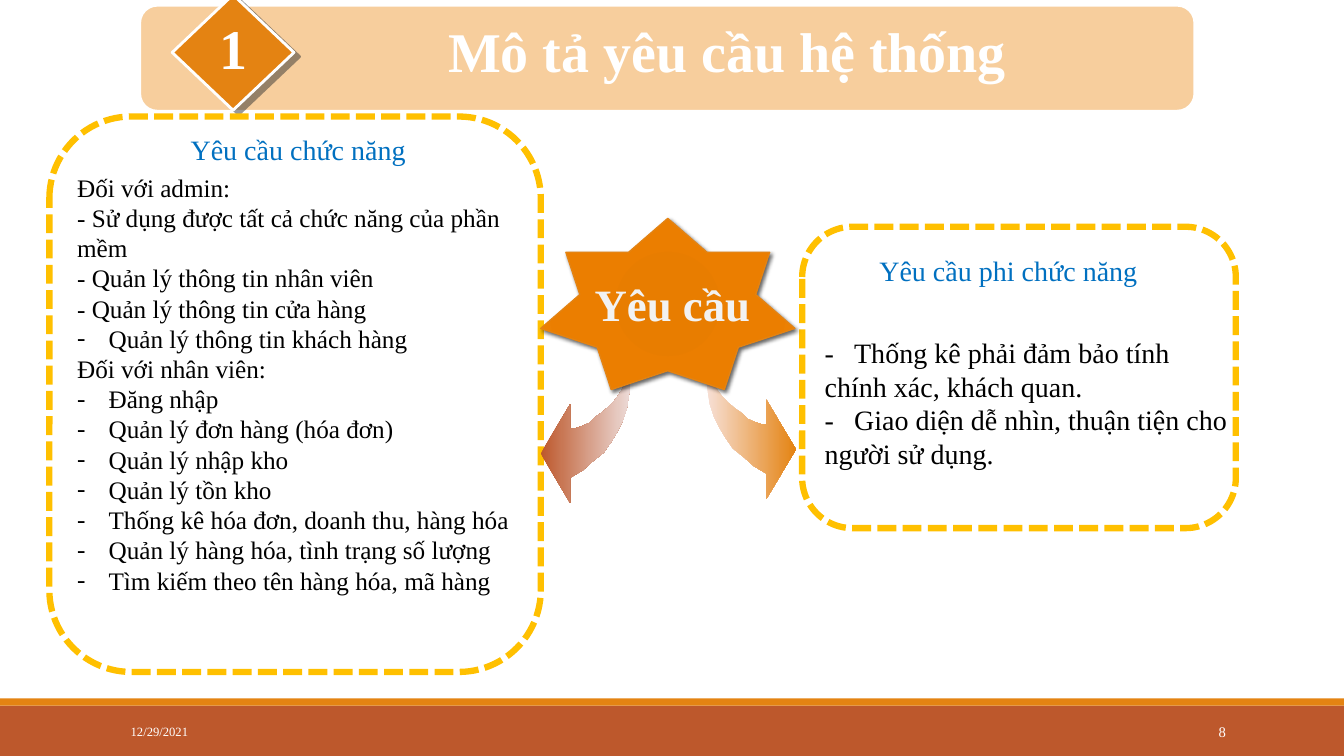
from pptx import Presentation
from pptx.dml.color import RGBColor
from pptx.enum.dml import MSO_LINE
from pptx.enum.shapes import MSO_SHAPE
from pptx.enum.text import MSO_ANCHOR, PP_ALIGN
from pptx.oxml import parse_xml
from pptx.oxml.ns import nsdecls, qn
from pptx.util import Pt

PX = 9525
FONT = "Times New Roman"
WHITE = RGBColor(0xFF, 0xFF, 0xFF)
OFF_WHITE = RGBColor(0xF2, 0xF2, 0xF2)
BLACK = RGBColor(0x00, 0x00, 0x00)
CHARCOAL = RGBColor(0x33, 0x33, 0x33)
BLUE = RGBColor(0x00, 0x70, 0xC0)
YELLOW = RGBColor(0xFF, 0xC0, 0x00)
ORANGE = RGBColor(0xE4, 0x83, 0x12)
PEACH = RGBColor(0xF7, 0xCE, 0x9D)
PALE_ORANGE = RGBColor(0xF7, 0xE1, 0xD8)
RUST = RGBColor(0xBD, 0x58, 0x2C)
PALE_RUST = RGBColor(0xED, 0xDC, 0xD9)
STAR_STOPS = [
    (0, RGBColor(0xE5, 0x7B, 0x00)),
    (34, RGBColor(0xE8, 0x7D, 0x00)),
    (70, RGBColor(0xEB, 0x7E, 0x00)),
    (100, RGBColor(0xEF, 0x84, 0x07)),
]
LINEAR = '<a:lin ang="0" scaled="0"/>'
CIRCULAR = '<a:path path="circle"><a:fillToRect l="50000" t="50000" r="50000" b="50000"/></a:path>'

ARROW_POINTS = [
    (0, 0), (0, 14), (2, 28), (4, 41), (8, 53), (13, 63), (19, 73), (26, 83),
    (36, 91), (46, 100), (58, 107), (58, 131), (86, 84), (58, 37), (58, 60),
    (53, 60), (47, 58), (40, 55), (35, 50), (28, 45), (22, 40), (16, 34),
    (11, 27), (7, 20), (3, 13), (1, 7),
]
FUNCTIONAL = [
    ("Đối với admin:", False),
    ("- Sử dụng được tất cả chức năng của phần mềm", False),
    ("- Quản lý thông tin nhân viên", False),
    ("- Quản lý thông tin cửa hàng", False),
    ("Quản lý thông tin khách hàng", True),
    ("Đối với nhân viên:", False),
    ("Đăng nhập", True),
    ("Quản lý đơn hàng (hóa đơn)", True),
    ("Quản lý nhập kho", True),
    ("Quản lý tồn kho", True),
    ("Thống kê hóa đơn, doanh thu, hàng hóa", True),
    ("Quản lý hàng hóa, tình trạng số lượng", True),
    ("Tìm kiếm theo tên hàng hóa, mã hàng", True),
]
NON_FUNCTIONAL = [
    ("-\tThống kê phải đảm bảo tính chính xác, khách quan.", False),
    ("-\tGiao diện dễ nhìn, thuận tiện cho người sử dụng.", False),
]


def add_shape(slide, kind, box, fill=None, line=None, width=1):
    shape = slide.shapes.add_shape(kind, *(value * PX for value in box))
    shape.shadow.inherit = False
    if fill is None:
        shape.fill.background()
    else:
        shape.fill.solid()
        shape.fill.fore_color.rgb = fill
    if line is None:
        shape.line.fill.background()
    else:
        shape.line.color.rgb = line
        shape.line.width = Pt(width)
    return shape


def set_gradient(shape, stops, direction):
    shape.fill.background()
    properties = shape._element.spPr
    colours = "".join(
        f'<a:gs pos="{position * 1000}"><a:srgbClr val="{colour}"/></a:gs>'
        for position, colour in stops
    )
    gradient = parse_xml(
        f'<a:gradFill {nsdecls("a")} rotWithShape="1">'
        f"<a:gsLst>{colours}</a:gsLst>{direction}</a:gradFill>"
    )
    properties.replace(properties.find(qn("a:noFill")), gradient)


def set_shadow(shape, colour, opacity, blur, distance, angle):
    effects = shape._element.spPr.find(qn("a:effectLst"))
    effects.append(parse_xml(
        f'<a:outerShdw {nsdecls("a")} blurRad="{Pt(blur)}" dist="{Pt(distance)}" '
        f'dir="{angle * 60000}" algn="ctr" rotWithShape="0">'
        f'<a:srgbClr val="{colour}"><a:alpha val="{opacity * 1000}"/></a:srgbClr></a:outerShdw>'
    ))


def add_text(slide, box, lines, size, colour, bold=False,
             align=PP_ALIGN.LEFT, anchor=MSO_ANCHOR.TOP, wrap=True):
    frame = slide.shapes.add_textbox(*(value * PX for value in box)).text_frame
    frame.word_wrap = wrap
    frame.vertical_anchor = anchor
    for index, (text, bulleted) in enumerate(lines):
        paragraph = frame.add_paragraph() if index else frame.paragraphs[0]
        paragraph.text = text
        paragraph.alignment = align
        font = paragraph.runs[0].font
        font.name, font.size, font.bold = FONT, Pt(size), bold
        font.color.rgb = colour
        properties = paragraph._p.get_or_add_pPr()
        if bulleted:
            properties.set("marL", str(30 * PX))
            properties.set("indent", str(-30 * PX))
            properties.append(parse_xml(f'<a:buFont {nsdecls("a")} typeface="{FONT}"/>'))
            properties.append(parse_xml(f'<a:buChar {nsdecls("a")} char="-"/>'))
        elif "\t" in text:
            properties.append(parse_xml(
                f'<a:tabLst {nsdecls("a")}><a:tab pos="{28 * PX}" algn="l"/></a:tabLst>'
            ))


def add_footer(slide, left, top, width, height):
    add_shape(slide, MSO_SHAPE.RECTANGLE, (left, top + 7, width, height - 7), RUST)
    add_shape(slide, MSO_SHAPE.RECTANGLE, (left, top, width, 7), ORANGE)
    add_text(slide, (left + 115, top + 13, 259, 38), [("12/29/2021", False)], 9, WHITE,
             anchor=MSO_ANCHOR.MIDDLE)
    add_text(slide, (left + 1040, top + 13, 137, 38), [("8", False)], 10.5, WHITE,
             align=PP_ALIGN.RIGHT, anchor=MSO_ANCHOR.MIDDLE)


def add_header(slide, left, top, width, height):
    add_shape(slide, MSO_SHAPE.ROUNDED_RECTANGLE, (left, top, width, height), PEACH, WHITE, 2)
    diamond = add_shape(slide, MSO_SHAPE.DIAMOND, (left + 31, top - 10, 116, 110),
                        ORANGE, WHITE, 2)
    set_shadow(diamond, CHARCOAL, 50, 0, 5, 37)
    add_text(slide, (left + 101, top + 6, 917, 74), [("Mô tả yêu cầu hệ thống", False)],
             40, WHITE, bold=True, align=PP_ALIGN.CENTER)
    add_text(slide, (left + 66, top + 3, 46, 74), [("1", False)], 40, WHITE,
             bold=True, align=PP_ALIGN.CENTER, wrap=False)


def add_panel(slide, box, heading, heading_box, lines, lines_box, size):
    left, top = box[:2]
    panel = add_shape(slide, MSO_SHAPE.ROUNDED_RECTANGLE, box, line=YELLOW, width=4.5)
    panel.line.dash_style = MSO_LINE.SQUARE_DOT
    for text_lines, (across, down, width, height), points, colour in (
        ([(heading, False)], heading_box, 20, BLUE),
        (lines, lines_box, size, BLACK),
    ):
        add_text(slide, (left + across, top + down, width, height), text_lines, points, colour)


def add_curved_arrow(slide, left, top, direction, stops):
    points = [((left + direction * across) , top + down) for across, down in ARROW_POINTS]
    builder = slide.shapes.build_freeform(*points[0], scale=PX)
    builder.add_line_segments(points[1:], close=True)
    arrow = builder.convert_to_shape()
    arrow.shadow.inherit = False
    arrow.line.fill.background()
    set_gradient(arrow, stops, LINEAR)


def add_centre(slide, left, top, width, height):
    add_curved_arrow(slide, left + 86, top + 140, -1, [(0, RUST), (100, PALE_RUST)])
    add_curved_arrow(slide, left + 157, top + 136, 1, [(0, PALE_ORANGE), (100, ORANGE)])
    star = add_shape(slide, MSO_SHAPE.STAR_7_POINT, (left, top, width, height), line=ORANGE)
    set_gradient(star, STAR_STOPS, CIRCULAR)
    set_shadow(star, BLACK, 60, 3, 2, 45)
    add_text(slide, (left + 41, top + 51, 169, 61), [("Yêu cầu", False)], 32, OFF_WHITE,
             bold=True, align=PP_ALIGN.CENTER, wrap=False)


def main():
    presentation = Presentation()
    presentation.slide_width = 1280 * PX
    presentation.slide_height = 720 * PX
    slide = presentation.slides.add_slide(presentation.slide_layouts[6])
    add_footer(slide, 0, 665, 1280, 55)
    add_header(slide, 133, 5, 1005, 101)
    add_panel(slide, (47, 111, 468, 529), "Yêu cầu chức năng", (125, 10, 264, 42),
              FUNCTIONAL, (17, 48, 439, 445), 18)
    add_panel(slide, (764, 216, 413, 287), "Yêu cầu phi chức năng", (64, 21, 309, 42),
              NON_FUNCTIONAL, (12, 99, 413, 139), 20)
    add_centre(slide, 515, 208, 242, 163)
    presentation.save("out.pptx")


if __name__ == "__main__":
    main()
